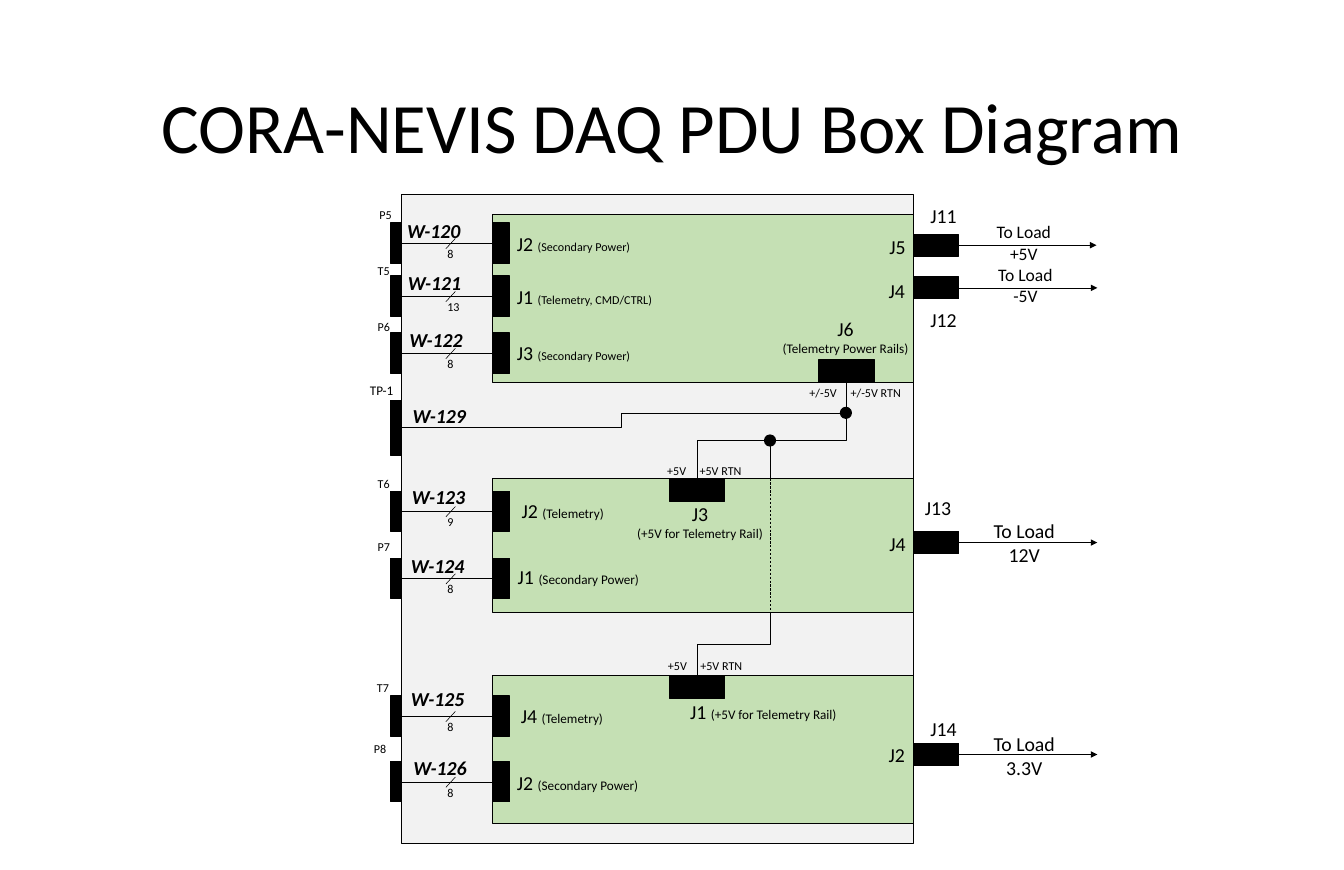
"""Build the DAQ PDU box diagram slide."""
from dataclasses import dataclass

from lxml import etree
from pptx import Presentation
from pptx import util as u
from pptx.dml.color import RGBColor
from pptx.enum import dml, shapes, text
from pptx.oxml import ns

COLORS = {"ink": "000000", "box": "F2F2F2", "board": "C5E0B4"}
FONT = "Calibri"
HEIGHTS = {11: 0.29, 12: 0.3, 18: 0.4}
RECT, OVAL = shapes.MSO_SHAPE.RECTANGLE, shapes.MSO_SHAPE.OVAL
STRAIGHT, ELBOW = shapes.MSO_CONNECTOR.STRAIGHT, shapes.MSO_CONNECTOR.ELBOW


@dataclass(frozen=True)
class Cable:
    name: str
    name_at: tuple[float, float]
    port: str
    port_at: tuple[float, float]
    top: float
    count: str
    jack: str
    role: str
    jack_at: tuple[float, float]
    jack_width: float
    role_size: int = 12


@dataclass(frozen=True)
class Output:
    left: float
    top: float
    jack: str
    jack_at: tuple[float, float]
    plug: str
    plug_at: tuple[float, float]
    volts: str
    load_at: tuple[float, float]
    load_size: int = 18


@dataclass(frozen=True)
class Rail:
    left: float
    top: float
    pins: str
    pins_at: tuple[float, float]
    pins_width: float
    tab: float


CABLES = [
    Cable("W-120", (5.05, 2.72), "P5", (4.7, 2.57), 2.82, "8", "J2", "(Secondary Power)", (6.44, 2.88), 1.65, 11),
    Cable("W-121", (5.06, 3.37), "T5", (4.68, 3.28), 3.49, "13", "J1", "(Telemetry, CMD/CTRL)", (6.44, 3.55), 1.95, 11),
    Cable("W-122", (5.08, 4.1), "P6", (4.68, 3.99), 4.21, "8", "J3", "(Secondary Power)", (6.44, 4.26), 1.65, 11),
    Cable("W-123", (5.11, 6.08), "T6", (4.68, 5.98), 6.21, "9", "J2", "(Telemetry)", (6.5, 6.26), 1.25),
    Cable("W-124", (5.1, 6.95), "P7", (4.68, 6.77), 7.06, "8", "J1", "(Secondary Power)", (6.45, 7.09), 1.75),
    Cable("W-125", (5.1, 8.63), "T7", (4.67, 8.55), 8.8, "8", "J4", "(Telemetry)", (6.49, 8.85), 1.25),
    Cable("W-126", (5.13, 9.51), "P8", (4.63, 9.33), 9.63, "8", "J2", "(Secondary Power)", (6.44, 9.69), 1.75),
]
OUTPUTS = [
    Output(11.55, 2.96, "J5", (11.15, 2.92), "J11", (11.67, 2.53), "+5V", (12.5, 2.75), 16),
    Output(11.56, 3.5, "J4", (11.14, 3.47), "J12", (11.67, 3.84), "-5V", (12.52, 3.29), 16),
    Output(11.56, 6.72, "J4", (11.15, 6.67), "J13", (11.6, 6.22), "12V", (12.46, 6.51)),
    Output(11.56, 9.4, "J2", (11.14, 9.34), "J14", (11.67, 9.01), "3.3V", (12.46, 9.2)),
]
RAILS = [
    Rail(8.47, 6.05, "+5V\t+5V RTN", (8.34, 5.81), 1.19, 0.41),
    Rail(8.47, 8.54, "+5V\t+5V RTN", (8.35, 8.28), 1.19, 0.41),
    Rail(10.36, 4.55, "+/-5V\t+/-5V RTN", (10.14, 4.82), 1.41, 0.52),
]
BOARDS = [(2.71, 2.13), (6.05, 1.69), (8.54, 1.87)]
JUNCTIONS = [(9.67, 5.5), (10.63, 5.15)]


def color(name: str) -> RGBColor:
    return RGBColor.from_string(COLORS[name])


def block(slide, left: float, top: float, width: float, height: float, fill: str = "ink", kind=RECT):
    part = slide.shapes.add_shape(kind, *map(u.Inches, (left, top, width, height)))
    part.shadow.inherit = False
    part.fill.solid()
    part.fill.fore_color.rgb = color(fill)
    part.line.color.rgb = color("ink")
    part.line.width = u.Pt(1)
    return part


def wire(slide, start: tuple[float, float], end: tuple[float, float], kind=STRAIGHT,
         dashed: bool = False, arrow: bool = False):
    link = slide.shapes.add_connector(kind, *map(u.Inches, (*start, *end)))
    link.line.color.rgb = color("ink")
    link.line.width = u.Pt(0.5)
    if dashed:
        link.line.dash_style = dml.MSO_LINE.DASH
    properties = link._element.spPr
    if arrow:
        etree.SubElement(properties.find(ns.qn("a:ln")), ns.qn("a:tailEnd"), type="triangle")
    etree.SubElement(properties, ns.qn("a:effectLst"))
    return link


def corner(slide, start: tuple[float, float], end: tuple[float, float]) -> None:
    link = wire(slide, start, end, ELBOW)
    link._element.spPr.find(ns.qn("a:prstGeom")).set("prst", "bentConnector2")


def label(slide, at: tuple[float, float], width: float, height: float,
          lines: list[list[tuple[str, float]]], centred: bool = False,
          strong: bool = False, tab: float = 0):
    caption = slide.shapes.add_textbox(*map(u.Inches, (*at, width, height)))
    frame = caption.text_frame
    frame.word_wrap = False
    frame.auto_size = text.MSO_AUTO_SIZE.SHAPE_TO_FIT_TEXT
    for index, pieces in enumerate(lines):
        line = frame.add_paragraph() if index else frame.paragraphs[0]
        line.alignment = text.PP_ALIGN.CENTER if centred else text.PP_ALIGN.LEFT
        if tab:
            stops = etree.SubElement(line._p.get_or_add_pPr(), ns.qn("a:tabLst"))
            etree.SubElement(stops, ns.qn("a:tab"), pos=str(u.Inches(tab)), algn="l")
        for words, size in pieces:
            for number, part in enumerate(words.split("\n")):
                if number:
                    line.add_line_break()
                run = line.add_run()
                run.text = part
                run.font.name = FONT
                run.font.size = u.Pt(size)
                run.font.color.rgb = color("ink")
                if strong:
                    run.font.bold = run.font.italic = True
    return caption


def tag(slide, at: tuple[float, float], width: float, words: str, size: int = 18,
        strong: bool = False, tab: float = 0) -> None:
    label(slide, at, width, HEIGHTS[size], [[(words, size)]], strong=strong, tab=tab)


def draw_cable(slide, cable: Cable) -> None:
    middle = cable.top + 0.255
    port = block(slide, 4.94, cable.top, 0.14, 0.51)
    jack = block(slide, 6.23, cable.top, 0.22, 0.51)
    link = wire(slide, (5.08, middle), (6.23, middle))
    link.begin_connect(port, 3)
    link.end_connect(jack, 1)
    wire(slide, (5.76, middle - 0.06), (5.64, middle + 0.07))
    tag(slide, (5.56, middle - 0.01), 0.36 if len(cable.count) > 1 else 0.28, cable.count, 11)
    tag(slide, cable.port_at, 0.36, cable.port, 11)
    tag(slide, cable.name_at, 0.89, cable.name, strong=True)
    label(slide, cable.jack_at, cable.jack_width, 0.4,
          [[(cable.jack + " ", 18), (cable.role, cable.role_size)]])


def draw_output(slide, output: Output) -> None:
    plug = block(slide, output.left, output.top, 0.57, 0.28)
    start, middle = output.left + 0.57, output.top + 0.14
    wire(slide, (start, middle), (start + 1.75, middle), arrow=True).begin_connect(plug, 3)
    tag(slide, output.jack_at, 0.41, output.jack)
    tag(slide, output.plug_at, 0.54, output.plug)
    width, height = (0.99, 0.71) if output.load_size == 18 else (0.9, 0.64)
    label(slide, output.load_at, width, height,
          [[("To Load\n" + output.volts, output.load_size)]], centred=True)


def draw_rails(slide) -> None:
    for rail in RAILS:
        block(slide, rail.left, rail.top, 0.7, 0.29)
        tag(slide, rail.pins_at, rail.pins_width, rail.pins, 11, tab=rail.tab)
    label(slide, (8.63, 8.8), 2.08, 0.4, [[("J1 ", 18), ("(+5V for Telemetry Rail)", 12)]])
    for at, jack, role in (((7.95, 6.29), "J3", "(+5V for Telemetry Rail)"),
                           ((9.79, 3.95), "J6", "(Telemetry Power Rails)")):
        label(slide, at, 1.81, 0.61, [[(jack, 18)], [(role, 12)]], centred=True)
    corner(slide, (9.81, 5.57), (10.71, 4.84))
    corner(slide, (9.67, 5.57), (8.82, 6.05))
    wire(slide, (9.74, 5.64), (9.74, 6.05))
    wire(slide, (9.74, 6.05), (9.74, 7.74), dashed=True)
    drop = wire(slide, (8.88, 7.68), (9.68, 8.6), ELBOW)
    drop._element.spPr.find(ns.qn("a:xfrm")).set("rot", "5400000")
    wire(slide, (10.63, 5.23), (5.08, 5.4), ELBOW)
    for left, top in JUNCTIONS:
        block(slide, left, top, 0.14, 0.14, kind=OVAL)
    block(slide, 4.94, 5.06, 0.14, 0.7)
    tag(slide, (4.58, 4.78), 0.51, "TP-1", 12)
    tag(slide, (5.12, 5.05), 0.89, "W-129", strong=True)


def main() -> None:
    deck = Presentation()
    deck.slide_width, deck.slide_height = u.Inches(17), u.Inches(11)
    slide = deck.slides.add_slide(deck.slide_layouts[6])
    title = label(slide, (1.17, 0.59), 14.66, 2.13, [[("CORA-NEVIS DAQ PDU Box Diagram", 64.5)]], centred=True)
    title.text_frame.word_wrap = True
    title.text_frame.auto_size = text.MSO_AUTO_SIZE.NONE
    title.text_frame.vertical_anchor = text.MSO_ANCHOR.MIDDLE
    title.text_frame.paragraphs[0].line_spacing = 0.9
    block(slide, 5.08, 2.46, 6.47, 8.21, "box")
    for top, height in BOARDS:
        block(slide, 6.23, top, 5.32, height, "board")
    draw_rails(slide)
    for cable in CABLES:
        draw_cable(slide, cable)
    for output in OUTPUTS:
        draw_output(slide, output)
    deck.save("out.pptx")


if __name__ == "__main__":
    main()
